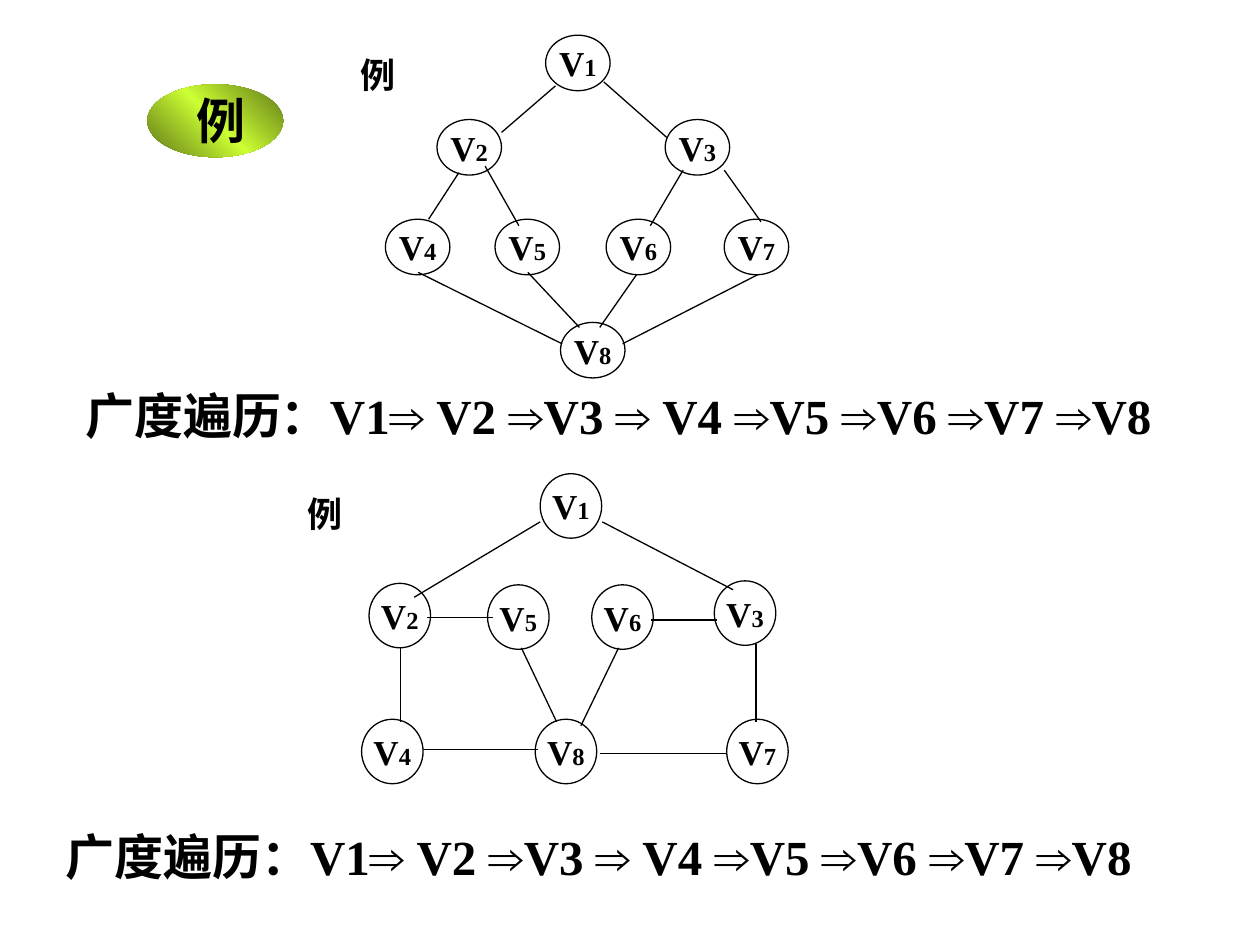
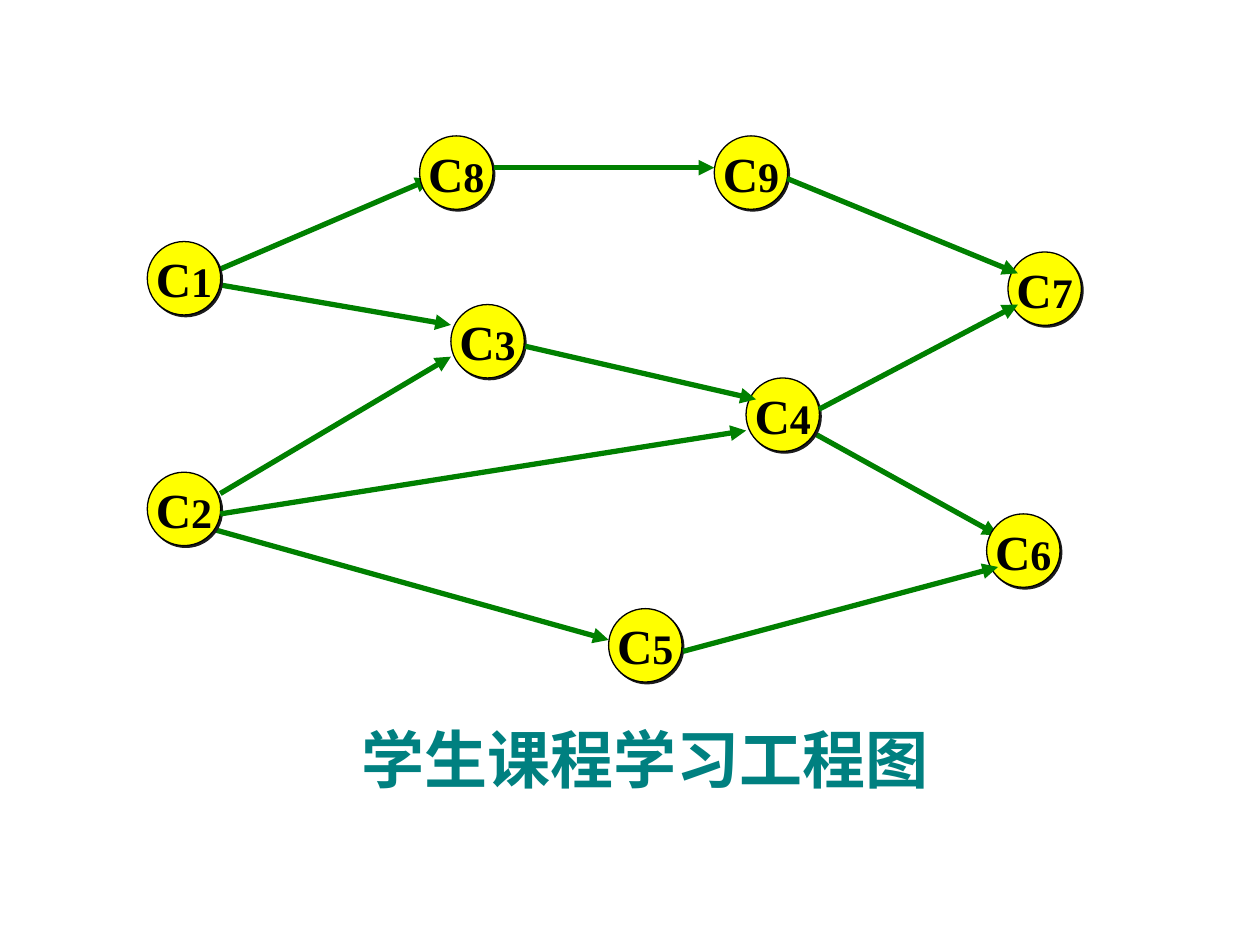
from copy import deepcopy

from lxml.etree import SubElement
from pptx import Presentation
from pptx.dml.color import RGBColor
from pptx.enum.shapes import MSO_CONNECTOR, MSO_SHAPE
from pptx.enum.text import MSO_ANCHOR, MSO_AUTO_SIZE, PP_ALIGN
from pptx.oxml.ns import qn
from pptx.util import Cm, Pt

COLORS = {
    "ink": "000000",
    "node": "FFFF00",
    "shade": "1C1C1C",
    "arrow": "008000",
    "title": "008080",
    "olive": "5E7517",
    "lime": "CCFF33",
}
SERIF, SANS = "Times New Roman", "Arial"
ROUTE = "广度遍历：V1⇒ V2 ⇒V3 ⇒ V4 ⇒V5 ⇒V6 ⇒V7 ⇒V8"

# Nodes are left, top; edges are x1, y1, x2, y2; all in cm from the graph's box.
TREE_NODES = {
    "V1": (3.99, 0), "V2": (1.8, 1.7), "V3": (6.4, 1.7),
    "V4": (0.76, 3.71), "V5": (2.97, 3.71), "V6": (5.21, 3.71),
    "V7": (7.59, 3.71), "V8": (4.29, 5.79),
}
TREE_EDGES = [
    (4.19, 1.02, 3.1, 1.96), (5.16, 0.94, 6.43, 2.06),
    (2.24, 2.77, 1.63, 3.71), (2.77, 2.64, 3.45, 3.84),
    (6.76, 2.72, 6.1, 3.84), (7.59, 2.72, 8.33, 3.76),
    (3.63, 4.78, 4.67, 5.89), (5.82, 4.83, 5.08, 5.89),
    (1.42, 4.78, 4.32, 6.22), (8.26, 4.83, 5.54, 6.22),
]
RING_NODES = {
    "V1": (4.95, 0), "V2": (1.5, 2.21), "V5": (3.89, 2.24),
    "V6": (5.99, 2.24), "V3": (8.46, 2.16), "V4": (1.35, 4.95),
    "V8": (4.85, 4.95), "V7": (8.71, 4.95),
}
RING_EDGES = [
    (4.95, 0.97, 2.41, 2.49), (6.2, 0.97, 8.84, 2.34),
    (2.67, 2.9, 3.99, 2.9), (7.19, 2.95, 8.51, 2.95),
    (2.13, 3.51, 2.13, 5), (2.59, 5.56, 4.9, 5.56),
    (6.15, 5.64, 8.71, 5.64), (9.3, 3.43, 9.3, 5),
    (4.57, 3.51, 5.28, 5), (6.53, 3.51, 5.77, 5.08),
]
COURSES = {
    "C8": (5.49, 0), "C3": (6.12, 3.4), "C5": (9.3, 9.53),
    "C4": (12.07, 4.88), "C9": (11.43, 0), "C6": (16.92, 7.62),
    "C7": (17.35, 2.34), "C1": (0, 2.13), "C2": (0, 6.78),
}
BACK_ARROWS = [
    (13.34, 5.94, 17.15, 8.05), (1.04, 7.85, 9.3, 10.16),
    (1.47, 7.21, 6.12, 4.45), (1.27, 2.97, 6.12, 3.81),
    (1.27, 2.77, 5.72, 0.86),
]
FRONT_ARROWS = [
    (6.99, 0.64, 11.43, 0.64), (7.62, 4.24, 12.27, 5.31),
    (1.47, 7.62, 12.07, 5.94), (12.9, 0.86, 17.55, 2.77),
    (13.54, 5.51, 17.55, 3.4), (10.8, 10.39, 17.15, 8.69),
]


def rgb(name):
    return RGBColor.from_string(COLORS[name])


def write(shape, *runs, size=20, color="ink", align=PP_ALIGN.CENTER,
          anchor=MSO_ANCHOR.MIDDLE, wrap=False, fit=MSO_AUTO_SIZE.NONE):
    """Each run is a string, or (string, size, font)."""
    frame = shape.text_frame
    frame.word_wrap = wrap
    frame.auto_size = fit
    frame.vertical_anchor = anchor
    frame.margin_left = frame.margin_right = Cm(0.25)
    frame.margin_top = frame.margin_bottom = Cm(0.13)
    para = frame.paragraphs[0]
    para.alignment = align
    for item in runs:
        text, points, face = (item, size, SERIF) if isinstance(item, str) else item
        run = para.add_run()
        run.text = text
        run.font.size = Pt(points)
        run.font.name = face
        run.font.bold = True
        run.font.color.rgb = rgb(color)


def label(shapes, left, top, width, height, *runs, **style):
    box = shapes.add_textbox(Cm(left), Cm(top), Cm(width), Cm(height))
    write(box, *runs, fit=MSO_AUTO_SIZE.SHAPE_TO_FIT_TEXT, **style)


def oval(shapes, left, top, width, height):
    shape = shapes.add_shape(MSO_SHAPE.OVAL, Cm(left), Cm(top), Cm(width), Cm(height))
    shape.shadow.inherit = False
    return shape


def shade(shape):
    effects = shape._element.spPr.find(qn("a:effectLst"))
    cast = SubElement(effects, qn("a:outerShdw"), dist="17961", dir="2700000",
                      algn="ctr", rotWithShape="0")
    SubElement(cast, qn("a:srgbClr"), val=COLORS["shade"])


def draw_nodes(shapes, left, top, nodes, size, sizes, fill=None):
    for name, (x, y) in nodes.items():
        node = oval(shapes, left + x, top + y, *size)
        node.line.color.rgb = rgb("ink")
        node.line.width = Pt(0.75)
        if fill:
            node.fill.solid()
            node.fill.fore_color.rgb = rgb(fill)
            shade(node)
        else:
            node.fill.background()
        write(node, *((sign, points, SERIF) for sign, points in zip(name, sizes)))


def draw_edges(shapes, left, top, edges, color="ink", width=0.75, arrow=False):
    for x1, y1, x2, y2 in edges:
        edge = shapes.add_connector(MSO_CONNECTOR.STRAIGHT, Cm(left + x1), Cm(top + y1),
                                    Cm(left + x2), Cm(top + y2))
        edge.line.color.rgb = rgb(color)
        edge.line.width = Pt(width)
        if arrow:
            SubElement(edge.line._get_or_add_ln(), qn("a:tailEnd"), type="triangle")
        SubElement(edge._element.spPr, qn("a:effectLst"))


def draw_graph(slide, left, top, nodes, edges, size):
    shapes = slide.shapes.add_group_shape().shapes
    draw_nodes(shapes, left, top, nodes, size, (20, 14))
    draw_edges(shapes, left, top, edges)
    label(shapes, left, top + 0.24, 1.22, 1.12, "例")


def draw_route(slide, left, top):
    first, *rest = ROUTE.split("⇒")
    runs = [first]
    for stop in rest:
        runs += [("⇒", 28, SANS), stop]
    label(slide.shapes, left, top, 22.81, 1.45, *runs, size=28,
          align=PP_ALIGN.LEFT, anchor=MSO_ANCHOR.TOP)


def draw_badge(slide, left, top):
    shapes = slide.shapes.add_group_shape().shapes
    badge = oval(shapes, left, top, 2.74, 1.47)
    badge.line.fill.background()
    badge.fill.gradient()
    badge.fill.gradient_angle = 225
    stops = badge._element.spPr.find(".//" + qn("a:gsLst"))
    stops.append(deepcopy(stops[0]))
    for stop, name, place in zip(badge.fill.gradient_stops,
                                 ("olive", "lime", "olive"), (0, 0.5, 1)):
        stop.color.rgb = rgb(name)
        stop.position = place
    label(shapes, left + 0.64, top, 1.7, 1.45, "例", size=28, wrap=True)


def add_search(deck):
    slide = deck.slides.add_slide(deck.slide_layouts[6])
    draw_graph(slide, 7.01, 0.71, TREE_NODES, TREE_EDGES, (1.3, 1.12))
    draw_graph(slide, 5.94, 9.55, RING_NODES, RING_EDGES, (1.24, 1.3))
    draw_route(slide, 1.47, 7.65)
    draw_route(slide, 1.07, 16.54)
    draw_badge(slide, 2.97, 1.7)


def add_courses(deck, left=2.97, top=2.74):
    slide = deck.slides.add_slide(deck.slide_layouts[5])
    title = slide.shapes.title
    title.left, title.top = Cm(left + 4.07), Cm(top + 11.66)
    title.width, title.height = Cm(11.94), Cm(1.78)
    write(title, "学生课程学习工程图", size=36, color="title",
          align=PP_ALIGN.LEFT, anchor=MSO_ANCHOR.TOP)
    style = {"color": "arrow", "width": 3, "arrow": True}
    draw_edges(slide.shapes, left, top, BACK_ARROWS, **style)
    draw_nodes(slide.shapes, left, top, COURSES, (1.48, 1.48), (28, 24), fill="node")
    draw_edges(slide.shapes, left, top, FRONT_ARROWS, **style)


def main():
    deck = Presentation()
    deck.slide_width, deck.slide_height = Cm(25.4), Cm(19.05)
    add_search(deck)
    add_courses(deck)
    deck.save("out.pptx")


if __name__ == "__main__":
    main()
